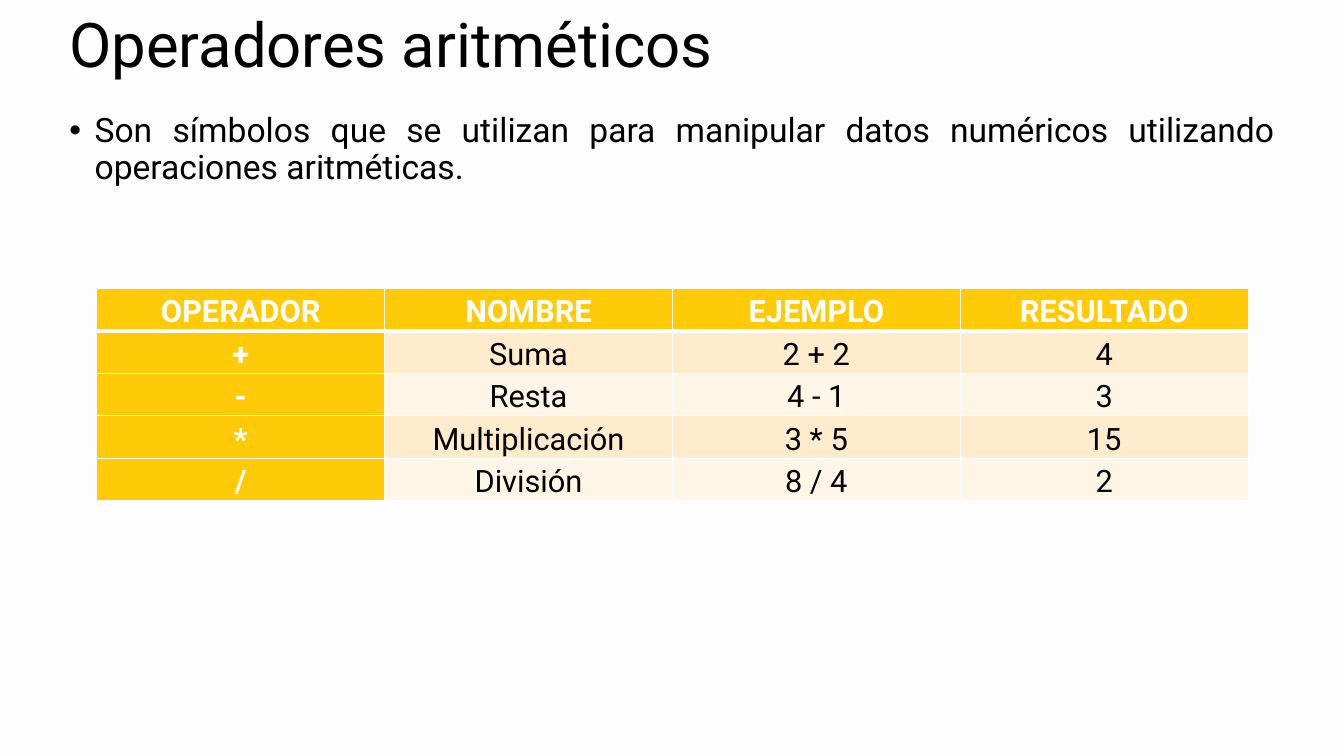
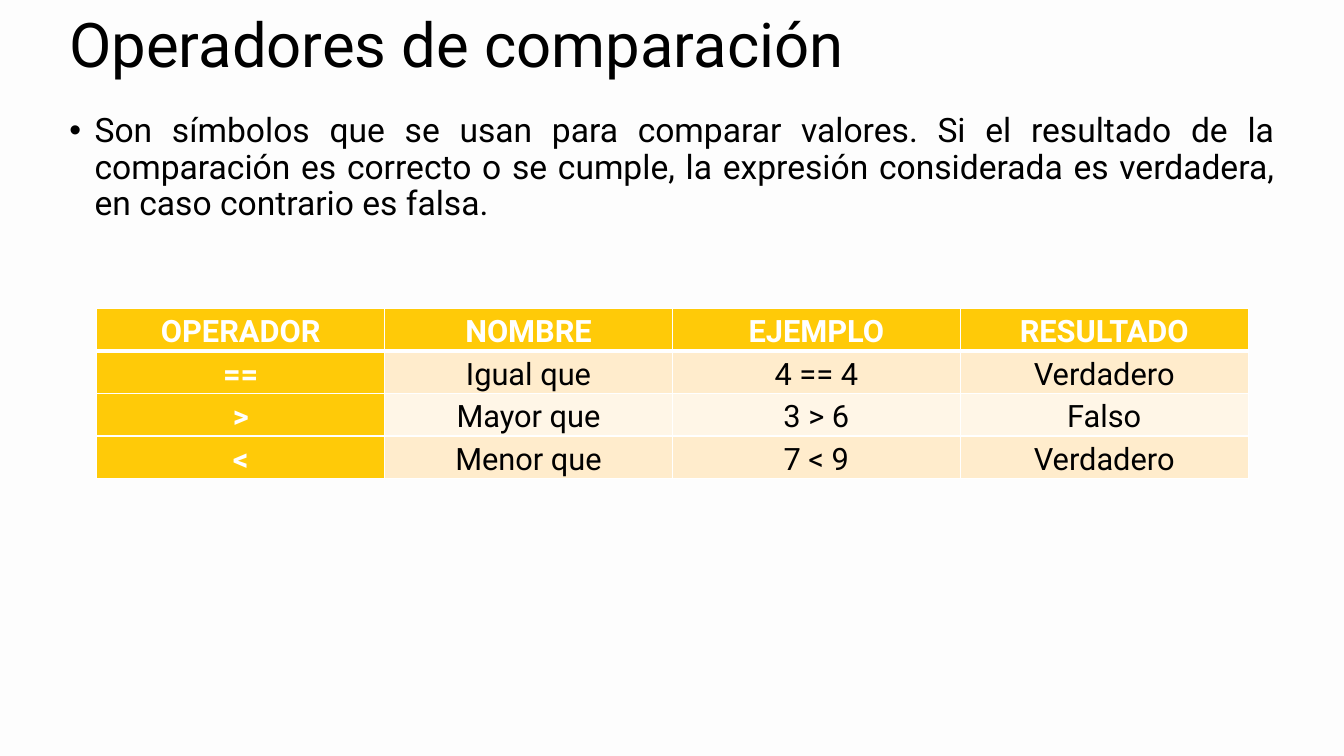
from lxml.etree import SubElement
from pptx import Presentation
from pptx.dml.color import RGBColor
from pptx.enum.text import MSO_ANCHOR, PP_ALIGN
from pptx.oxml.ns import qn
from pptx.util import Inches, Pt

FONT = "Roboto"
BLACK, WHITE, PAPER = "000000", "FFFFFF", "FDFDFD"
GOLD = "FFCA08"
BANDS = ["FFECCC", "FFF6E7"]
MARGIN, TEXT_WIDTH = 0.59, 12.15
TABLE_LEFT, COLUMN_WIDTH, ROW_HEIGHT = 0.96, 2.855, 0.39
HEADERS = ["OPERADOR", "NOMBRE", "EJEMPLO", "RESULTADO"]

OPERATOR_SLIDES = [
    {
        "title": "Operadores aritméticos",
        "definition": "Son símbolos que se utilizan para manipular datos numéricos "
                      "utilizando operaciones aritméticas.",
        "table_top": 2.86,
        "operators": [
            ["+", "Suma", "2 + 2", "4"],
            ["-", "Resta", "4 - 1", "3"],
            ["*", "Multiplicación", "3 * 5", "15"],
            ["/", "División", "8 / 4", "2"],
        ],
    },
    {
        "title": "Operadores de comparación",
        "definition": "Son símbolos que se usan para comparar valores. Si el resultado "
                      "de la comparación es correcto o se cumple, la expresión "
                      "considerada es verdadera, en caso contrario es falsa.",
        "table_top": 3.06,
        "operators": [
            ["==", "Igual que", "4 == 4", "Verdadero"],
            [">", "Mayor que", "3 > 6", "Falso"],
            ["<", "Menor que", "7 < 9", "Verdadero"],
        ],
    },
]


def rgb(value):
    return RGBColor.from_string(value)


def style(paragraph, size, color, bold=False):
    font = paragraph.font
    font.name = FONT
    font.size = Pt(size)
    font.bold = bold
    font.color.rgb = rgb(color)


def add_text(slide, text, top, height, anchor):
    frame = slide.shapes.add_textbox(
        Inches(MARGIN), Inches(top), Inches(TEXT_WIDTH), Inches(height)
    ).text_frame
    frame.word_wrap = True
    frame.vertical_anchor = anchor
    paragraph = frame.paragraphs[0]
    paragraph.text = text
    paragraph.line_spacing = 0.9
    return paragraph


def add_title(slide, text):
    style(add_text(slide, text, 0.05, 0.84, MSO_ANCHOR.MIDDLE), 44, BLACK)


def add_definition(slide, text):
    paragraph = add_text(slide, text, 1.08, 5.83, MSO_ANCHOR.TOP)
    paragraph.alignment = PP_ALIGN.JUSTIFY
    properties = paragraph._p.get_or_add_pPr()
    properties.set("marL", str(Inches(0.25)))
    properties.set("indent", str(Inches(-0.25)))
    SubElement(properties, qn("a:buFont"), typeface="Arial")
    SubElement(properties, qn("a:buChar"), char="•")
    style(paragraph, 24, BLACK)


def set_borders(cell, bottom_width):
    properties = cell._tc.get_or_add_tcPr()
    for side, width in [("lnL", 1), ("lnR", 1), ("lnT", 1), ("lnB", bottom_width)]:
        line = SubElement(properties, qn(f"a:{side}"), w=str(Pt(width)))
        fill = SubElement(line, qn("a:solidFill"))
        SubElement(fill, qn("a:srgbClr"), val=WHITE)


def fill_cell(cell, text, row, column):
    heading = row == 0 or column == 0
    cell.margin_left = cell.margin_right = Inches(0.14)
    cell.margin_top = cell.margin_bottom = 0
    cell.vertical_anchor = MSO_ANCHOR.MIDDLE
    set_borders(cell, 3 if row == 0 else 1)
    cell.fill.solid()
    cell.fill.fore_color.rgb = rgb(GOLD if heading else BANDS[(row - 1) % 2])
    paragraph = cell.text_frame.paragraphs[0]
    paragraph.text = text
    paragraph.alignment = PP_ALIGN.CENTER
    paragraph.line_spacing = 1.15
    paragraph.space_after = Pt(6)
    style(paragraph, 22, WHITE if heading else BLACK, heading)


def add_operator_table(slide, operators, top):
    rows = [HEADERS, *operators]
    table = slide.shapes.add_table(
        len(rows), len(HEADERS), Inches(TABLE_LEFT), Inches(top),
        Inches(COLUMN_WIDTH * len(HEADERS)), Inches(ROW_HEIGHT * len(rows)),
    ).table
    for row, texts in enumerate(rows):
        for column, text in enumerate(texts):
            fill_cell(table.cell(row, column), text, row, column)


def add_operator_slide(deck, content):
    slide = deck.slides.add_slide(deck.slide_layouts[6])
    slide.background.fill.solid()
    slide.background.fill.fore_color.rgb = rgb(PAPER)
    add_title(slide, content["title"])
    add_definition(slide, content["definition"])
    add_operator_table(slide, content["operators"], content["table_top"])


def main():
    deck = Presentation()
    deck.slide_width = Inches(13.33)
    deck.slide_height = Inches(7.5)
    for content in OPERATOR_SLIDES:
        add_operator_slide(deck, content)
    deck.save("out.pptx")


if __name__ == "__main__":
    main()
